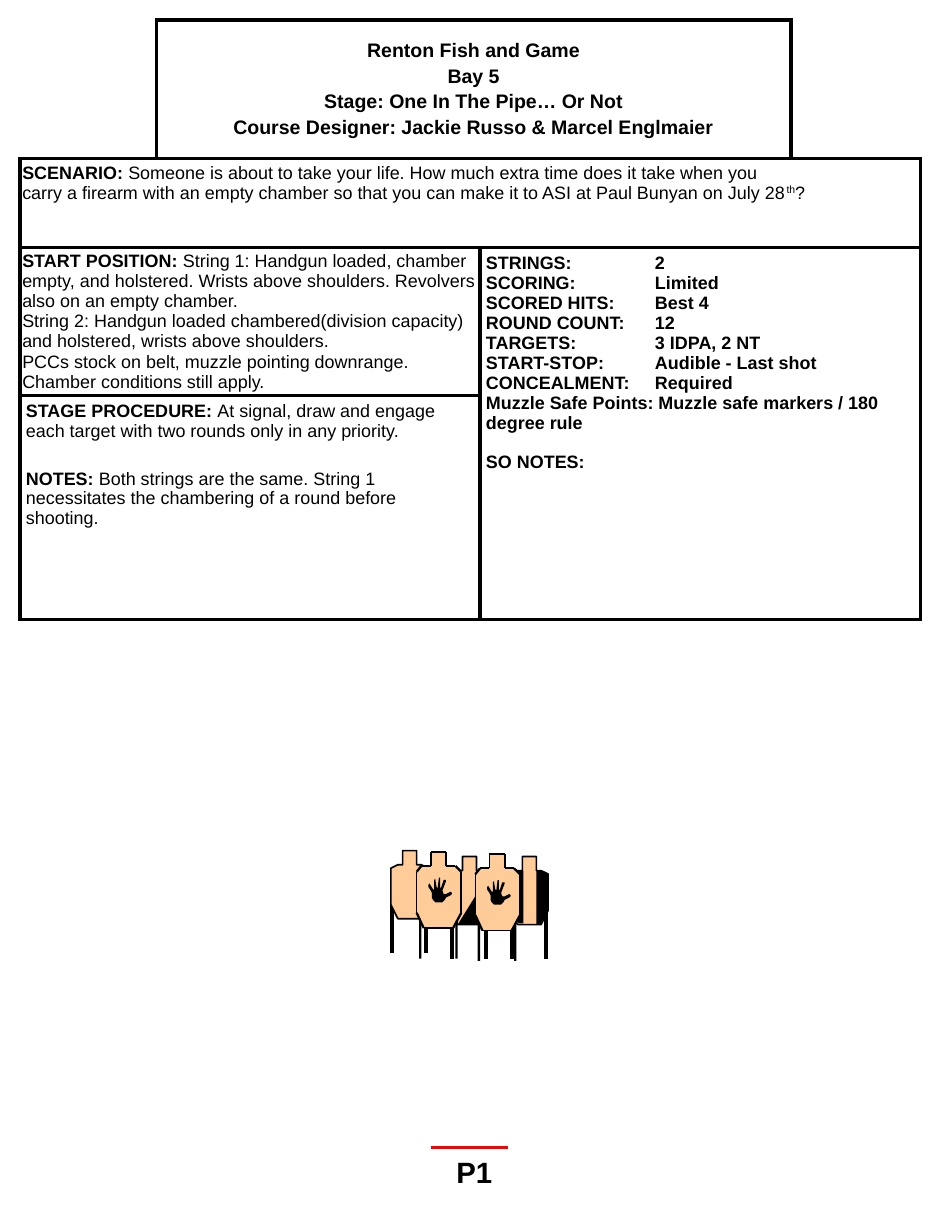
from lxml.etree import SubElement
from pptx import Presentation
from pptx.dml.color import RGBColor
from pptx.enum.shapes import MSO_CONNECTOR, MSO_SHAPE
from pptx.enum.text import MSO_ANCHOR, PP_ALIGN
from pptx.oxml.ns import qn
from pptx.util import Inches, Pt

COLORS = {"ink": "000000", "paper": "FFFFFF", "back": "FFCC99", "front": "FDCC99",
          "accent": "FF0000"}
COLUMN_WIDTHS = [1.16, 2.76, 2.65, 1.1]
ROW_HEIGHTS = [1.18, 0.76, 1.25, 1.91]
UNIT = Inches(0.01)

BACK_OUTLINE = [(10, 0), (22, 0), (22, 12), (26, 12), (32, 15), (32, 46),
                (26, 58), (6, 58), (0, 46), (0, 15), (6, 12), (10, 12)]
FRONT_OUTLINE = [(12, 0), (12, 12), (4, 12), (0, 17), (0, 52), (6, 65),
                 (31, 65), (38, 52), (38, 17), (33, 12), (25, 12), (25, 0)]
RIGHT_SHADE = [(22, 12), (22, 58), (26, 58), (32, 46), (32, 15), (26, 12)]
LEFT_SHADE = [(11, 12), (11, 57), (7, 57), (1, 46), (1, 15), (7, 12)]
CORNER_SHADE = [(32, 16), (32, 46), (26, 58), (6, 58)]
HAND = [(14, 19), (12, 21), (9, 21), (6, 21), (4, 19), (3, 17), (3, 13), (2, 11),
        (0, 8), (0, 6), (1, 5), (4, 10), (5, 10), (5, 2), (5.5, 1), (6, 2),
        (7, 8), (7.5, 9), (8, 8), (9, 0), (10, 0), (10, 8), (10.5, 9), (11, 8),
        (13, 2), (14, 1.5), (15, 2), (15, 3), (12, 11), (13, 14), (15, 14),
        (19, 12), (20, 13), (20, 14), (19, 15), (15, 17)]

HEADING = ["Renton Fish and Game", "Bay 5", "Stage: One In The Pipe… Or Not",
           "Course Designer: Jackie Russo & Marcel Englmaier"]
SCENARIO = [
    [("SCENARIO: ", True), ("Someone is about to take your life. How much extra time "
                            "does it take when you", False)],
    [("carry a firearm with an empty chamber so that you can make it to ASI at "
      "Paul Bunyan on July 28", False), ("th", False, "30000"), ("?", False)],
]
START_POSITION = [
    [("START POSITION: ", True), ("String 1: Handgun loaded, chamber empty, and holstered. "
                                  "Wrists above shoulders. Revolvers also on an empty chamber.", False)],
    [("String 2: Handgun loaded chambered(division capacity) and holstered, "
      "wrists above shoulders.", False)],
    [("PCCs stock on belt, muzzle pointing downrange. Chamber conditions still apply.", False)],
]
STAGE_PROCEDURE = [
    [("STAGE PROCEDURE: ", True), ("At signal, draw and engage each target with two rounds "
                                   "only in any priority.", False)],
    [("NOTES: ", True), ("Both strings are the same. String 1 necessitates the chambering "
                         "of a round before shooting.", False)],
]
STAGE_FACTS = ["STRINGS:\t2", "SCORING:\tLimited", "SCORED HITS:\tBest 4",
               "ROUND COUNT:\t12", "TARGETS:\t3 IDPA, 2 NT",
               "START-STOP:\tAudible - Last shot", "CONCEALMENT:\tRequired",
               "Muzzle Safe Points: Muzzle safe markers / 180 degree rule", "SO NOTES:"]


def rgb(name):
    return RGBColor.from_string(COLORS[name])


def apply_format(target, values):
    for attribute, value in values.items():
        setattr(target, attribute, value)


def bold_lines(lines):
    return [[(line, True)] for line in lines]


def write_paragraphs(frame, paragraphs, size=11, align=PP_ALIGN.LEFT, gaps=None, tab=None):
    for index, runs in enumerate(paragraphs):
        paragraph = frame.paragraphs[0] if index == 0 else frame.add_paragraph()
        gap = (gaps or {}).get(index, 0)
        apply_format(paragraph, {"alignment": align, "space_before": Pt(gap)})
        if tab:
            tabs = SubElement(paragraph._p.get_or_add_pPr(), qn("a:tabLst"))
            SubElement(tabs, qn("a:tab"), pos=str(Inches(tab)), algn="l")
        for text, bold, *raised in runs:
            run = paragraph.add_run()
            run.text = text
            apply_format(run.font, {"name": "Arial", "size": Pt(size), "bold": bold})
            run.font.color.rgb = rgb("ink")
            if raised:
                run.font._element.set("baseline", raised[0])


def draw_borders(cell, sides):
    properties = cell._tc.get_or_add_tcPr()
    for side in "LRTB":
        border = SubElement(properties, qn(f"a:ln{side}"), w=str(Pt(2.25)))
        if side in sides:
            fill = SubElement(border, qn("a:solidFill"))
            SubElement(fill, qn("a:srgbClr"), val=COLORS["ink"])
        else:
            SubElement(border, qn("a:noFill"))


def add_block(table, first, last, sides="LRTB", margins=(0.05, 0.05), anchor=MSO_ANCHOR.TOP):
    (top, left), (bottom, right) = first, last
    for row in range(top, bottom + 1):
        for column in range(left, right + 1):
            cell = table.cell(row, column)
            draw_borders(cell, sides)
            cell.fill.solid()
            cell.fill.fore_color.rgb = rgb("paper")
    block = table.cell(top, left)
    if first != last:
        block.merge(table.cell(bottom, right))
    across, down = (Inches(margin) for margin in margins)
    apply_format(block, {"margin_left": across, "margin_right": across, "margin_top": down,
                         "margin_bottom": down, "vertical_anchor": anchor})
    return block.text_frame


def add_stage_sheet(slide):
    sheet = slide.shapes.add_table(
        len(ROW_HEIGHTS), len(COLUMN_WIDTHS), Inches(0.17), Inches(0.17),
        Inches(sum(COLUMN_WIDTHS)), Inches(sum(ROW_HEIGHTS))).table
    apply_format(sheet, {"first_row": False, "horz_banding": False})
    for column, width in zip(sheet.columns, COLUMN_WIDTHS):
        column.width = Inches(width)
    for row, height in zip(sheet.rows, ROW_HEIGHTS):
        row.height = Inches(height)

    add_block(sheet, (0, 0), (0, 0), sides="RB")
    add_block(sheet, (0, 3), (0, 3), sides="LB")
    heading = add_block(sheet, (0, 1), (0, 2), anchor=MSO_ANCHOR.MIDDLE)
    scenario = add_block(sheet, (1, 0), (1, 3), margins=(0.02, 0.04))
    start = add_block(sheet, (2, 0), (2, 1), margins=(0.02, 0.03))
    facts = add_block(sheet, (2, 2), (3, 3))
    procedure = add_block(sheet, (3, 0), (3, 1))

    write_paragraphs(heading, bold_lines(HEADING), size=12, align=PP_ALIGN.CENTER,
                     gaps={1: 2.4, 2: 2.4, 3: 2.4})
    write_paragraphs(scenario, SCENARIO)
    write_paragraphs(start, START_POSITION, gaps={1: 0.3, 2: 0.3})
    write_paragraphs(facts, bold_lines(STAGE_FACTS), gaps={8: 12}, tab=1.44)
    write_paragraphs(procedure, STAGE_PROCEDURE, gaps={1: 17})


def add_line(shapes, start, end, color, width):
    line = shapes.add_connector(MSO_CONNECTOR.STRAIGHT, *(Inches(v) for v in start + end))
    line.line.color.rgb = rgb(color)
    line.line.width = Pt(width)
    SubElement(line._element.spPr, qn("a:effectLst"))


def paint(shape, color, outlined=False):
    shape.shadow.inherit = False
    shape.fill.solid()
    shape.fill.fore_color.rgb = rgb(color)
    if outlined:
        shape.line.color.rgb = rgb("ink")
        shape.line.width = Pt(1)
    else:
        shape.line.fill.background()


def add_outline(shapes, x, y, points, color, outlined=False):
    builder = shapes.build_freeform(*points[0], scale=UNIT)
    builder.add_line_segments(points[1:], close=True)
    paint(builder.convert_to_shape(Inches(x), Inches(y)), color, outlined)


def add_edges(shapes, x, y, points):
    corners = [(x + across / 100, y + down / 100) for across, down in points]
    for start, end in zip(corners, corners[1:] + corners[:1]):
        slanted = start[0] != end[0] and start[1] != end[1]
        add_line(shapes, start, end, "ink", 1.38 if slanted else 1)


def add_back_target(shapes, x, y, shades=()):
    for leg in (0.01, 0.3):
        add_line(shapes, (x + leg, y + 0.43), (x + leg, y + 0.87), "ink", 2.25)
    add_outline(shapes, x, y, BACK_OUTLINE, "back", outlined=True)
    for shade in shades:
        add_outline(shapes, x, y, shade, "ink")


def add_front_target(shapes, x, y):
    for leg in (0.33, 0.02):
        post = shapes.add_shape(MSO_SHAPE.RECTANGLE, Inches(x + leg), Inches(y + 0.48),
                                Inches(0.02), Inches(0.43))
        paint(post, "ink")
    add_outline(shapes, x, y, FRONT_OUTLINE, "front")
    add_edges(shapes, x, y, FRONT_OUTLINE)
    add_outline(shapes, x + 0.1, y + 0.22, HAND, "ink")


def add_page_mark(slide):
    mark = slide.shapes.add_textbox(Inches(3.79), Inches(9.79), Inches(0.58), Inches(0.4))
    mark.text_frame.word_wrap = True
    write_paragraphs(mark.text_frame, bold_lines(["P1"]), size=18)
    add_line(slide.shapes, (4.33, 9.78), (3.67, 9.78), "accent", 2)


def main():
    deck = Presentation()
    apply_format(deck, {"slide_width": Inches(8), "slide_height": Inches(10.5)})
    slide = deck.slides.add_slide(deck.slide_layouts[6])
    add_stage_sheet(slide)
    add_page_mark(slide)
    targets = slide.shapes.add_group_shape().shapes
    add_back_target(targets, 3.33, 7.25)
    add_back_target(targets, 4.35, 7.3, [RIGHT_SHADE, LEFT_SHADE])
    add_back_target(targets, 3.84, 7.3, [CORNER_SHADE])
    add_front_target(targets, 3.55, 7.26)
    add_front_target(targets, 4.05, 7.28)
    deck.save("out.pptx")


if __name__ == "__main__":
    main()
